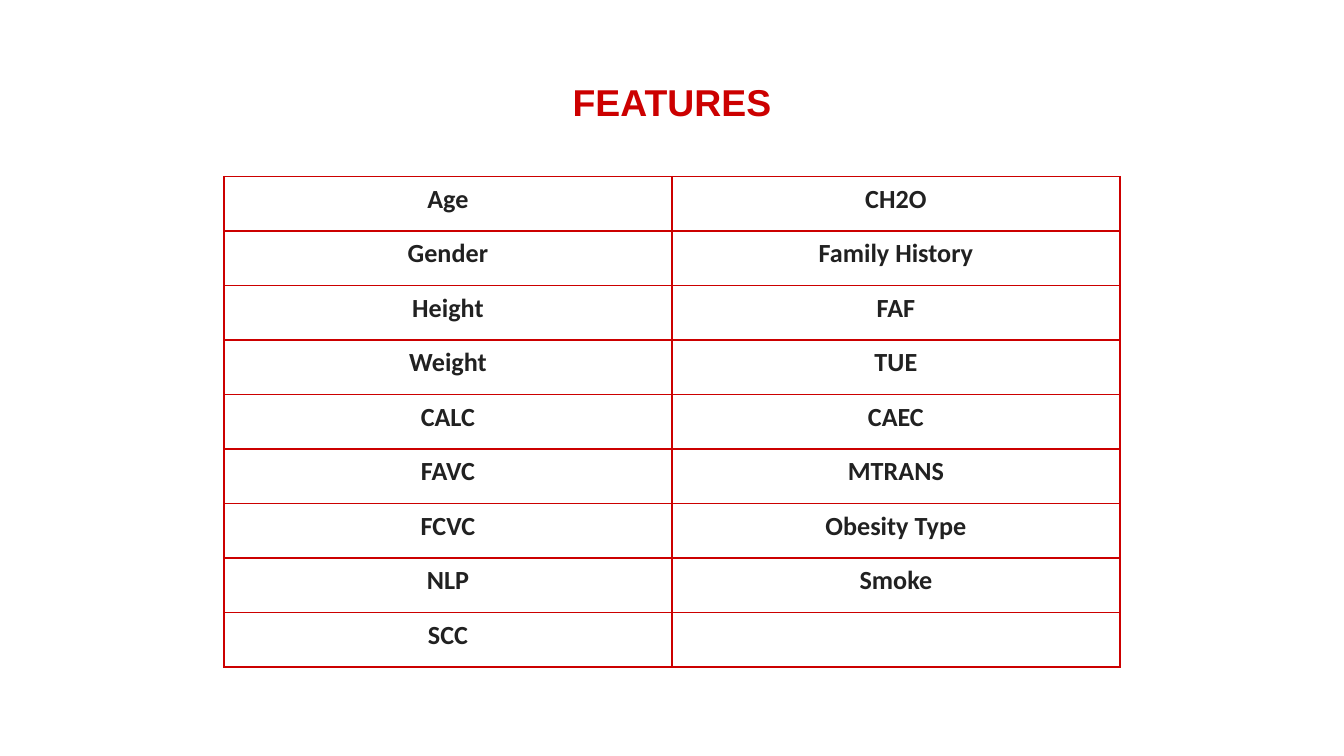
from lxml.etree import SubElement
from pptx import Presentation
from pptx.dml.color import RGBColor
from pptx.enum.text import MSO_ANCHOR as Anchor, PP_ALIGN as Align
from pptx.oxml.ns import qn
from pptx.util import Inches, Pt

RED = RGBColor(0xCC, 0x00, 0x00)
INK = RGBColor(0x21, 0x21, 0x21)
WIDTH = Inches(10)
HEIGHT = WIDTH * 9 // 16
FEATURES = [
    ("Age", "CH2O"),
    ("Gender", "Family History"),
    ("Height", "FAF"),
    ("Weight", "TUE"),
    ("CALC", "CAEC"),
    ("FAVC", "MTRANS"),
    ("FCVC", "Obesity Type"),
    ("NLP", "Smoke"),
    ("SCC", ""),
]


def add_span(para, text, font, size, color):
    """Add one bold, centred run to a paragraph."""
    para.alignment = Align.CENTER
    span = para.add_run()
    span.text = text
    span.font.name, span.font.size, span.font.bold = font, Pt(size), True
    span.font.color.rgb = color


def add_borders(cell, color, width):
    """Draw a solid line on all four sides of a cell."""
    props = cell._tc.get_or_add_tcPr()
    for place, side in enumerate(("lnL", "lnR", "lnT", "lnB")):
        line = SubElement(props, qn(f"a:{side}"), w=str(Pt(width)))
        fill = SubElement(line, qn("a:solidFill"))
        SubElement(fill, qn("a:srgbClr"), val=str(color))
        props.insert(place, line)


def add_title(page, left, top, width, height, text):
    """Place the slide heading in the given box."""
    frame = page.shapes.add_textbox(left, top, width, height).text_frame
    frame.word_wrap = True
    frame.vertical_anchor = Anchor.TOP
    frame.margin_left = frame.margin_right = Inches(0.1)
    frame.margin_top = frame.margin_bottom = Inches(0.1)
    add_span(frame.paragraphs[0], text, "Arial", 20, RED)


def add_feature_table(page, left, top, width, height, rows):
    """Fill the given box with an evenly divided, outlined table."""
    box = page.shapes.add_table(len(rows), len(rows[0]), left, top, width, height)
    table = box.table
    table.first_row = table.horz_banding = False
    for row, names in zip(table.rows, rows):
        row.height = height // len(rows)
        for cell, name in zip(row.cells, names):
            cell.fill.background()
            add_borders(cell, RED, 1)
            if name:
                add_span(cell.text_frame.paragraphs[0], name, "Calibri", 14, INK)


def main():
    """Build the features slide and save the deck."""
    deck = Presentation()
    deck.slide_width, deck.slide_height = WIDTH, HEIGHT
    page = deck.slides.add_slide(deck.slide_layouts[6])
    add_title(page, Inches(0.34), Inches(0.49), Inches(9.32), Inches(0.63), "FEATURES")
    table_width = WIDTH * 2 // 3
    table_left = (WIDTH - table_width) // 2
    add_feature_table(page, table_left, Pt(94.6), table_width, Inches(3.65), FEATURES)
    deck.save("out.pptx")


if __name__ == "__main__":
    main()
